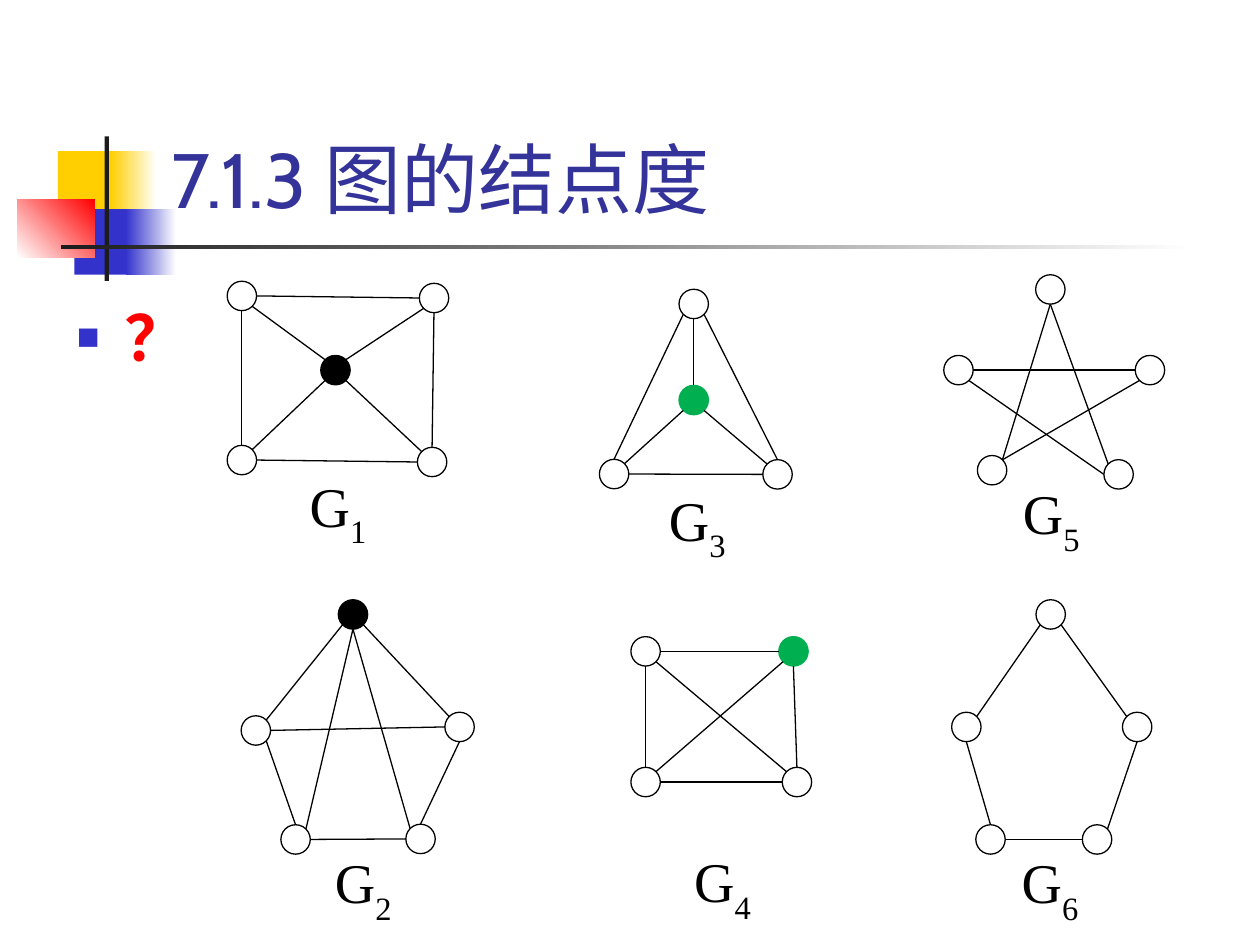
import math

from lxml import etree
from pptx import Presentation
from pptx import util as u
from pptx.dml.color import RGBColor
from pptx.enum import shapes, text
from pptx.oxml.ns import qn

COLORS = {"yellow": "FFCF01", "blue": "3333CC", "red": "FF0000", "dark": "1C1C1C",
          "white": "FFFFFF", "black": "000000", "green": "00B050", "title": "333399"}

# Decoration: left, top, width, height, start colour, end colour, angle
DECOR = [
    (33.1, 86.4, 34.6, 37.4, "yellow", None, 0),
    (63.4, 86.4, 25.9, 37.4, "yellow", "white", 0),
    (42.5, 119.5, 33.1, 37.4, "blue", None, 0),
    (72, 119.5, 28.8, 37.4, "blue", "white", 0),
    (10, 113.8, 44, 33.4, "white", "red", 45),
    (59.8, 78, 2.4, 82.6, "dark", None, 0),
    (34.7, 140, 648, 2.5, "dark", "white", 0),
]

# Graphs: label corner, node centres, filled nodes, edges as "node side node side"
GRAPHS = {
    "1": dict(label=(169.9, 265.7), filled={"M": "black"},
              nodes={"TL": (138.2, 169.1), "TR": (248, 170.3), "M": (191.7, 211.5),
                     "BL": (138.2, 262.9), "BR": (246.9, 264)},
              edges=["TL E TR W", "TL S BL N", "BL E BR W", "TR S BR N",
                     "TR SW M NE", "TL SE M NW", "M SE BR NW", "M SW BL NE"]),
    "2": dict(label=(184.3, 481), filled={"T": "black"},
              nodes={"T": (201.7, 351.1), "L": (146.2, 417.4), "R": (262.6, 415.4),
                     "BL": (168.9, 479.7), "BR": (240.3, 479.4)},
              edges=["T SW L NE", "T SE R NW", "L SE BL N", "R S BR N",
                     "BL E BR W", "L E R W", "T S BL NE", "T S BR NW"]),
    "3": dict(label=(375.1, 273.6), filled={"M": "green"},
              nodes={"T": (396.4, 173.7), "M": (396.4, 228.6),
                     "BL": (350.9, 270.9), "BR": (444.3, 271.1)},
              edges=["T SW BL N", "T SE BR N", "T S M N", "BL E BR W",
                     "M SE BR NW", "M SW BL NE"]),
    "4": dict(label=(389.5, 480.2), filled={"TR": "green"},
              nodes={"TL": (368.9, 372.2), "TR": (453.4, 372.2),
                     "BL": (368.9, 446.9), "BR": (455.4, 446.9)},
              edges=["TL E TR W", "TL S BL N", "BL E BR W", "TR S BR N",
                     "TL SE BR NW", "TR SW BL NE"]),
    "5": dict(label=(577.4, 270), filled={},
              nodes={"T": (600.2, 165.4), "L": (547.7, 211.5), "R": (657.1, 211.5),
                     "BL": (566.9, 268.7), "BR": (639.2, 271.1)},
              edges=["L E R W", "R SW BL NE", "BL NE T S", "T S BR NW", "L SE BR W"]),
    "6": dict(label=(576.7, 481), filled={},
              nodes={"T": (600.4, 351.1), "L": (552.2, 415.4), "R": (649.8, 415.4),
                     "BL": (566, 479.7), "BR": (626.9, 479.7)},
              edges=["T SW L NE", "T SE R NW", "R S BR NE", "L S BL N", "BL E BR W"]),
}
NODE_D = 16.8
LABEL_SIZE = (56.9, 49.7)
SIDES = ["E", "SE", "S", "SW", "W", "NW", "N", "NE"]


def rgb(name):
    return RGBColor.from_string(COLORS[name])


def add_run(p, words, color, **fmt):
    r = p.add_run()
    r.text = words
    r.font.color.rgb = rgb(color)
    for key, value in fmt.items():
        setattr(r.font, key, value)
    return r


def place(sp, *box):
    for key, value in zip(("left", "top", "width", "height"), box):
        setattr(sp, key, u.Pt(value))


def add_box(s, kind, box, fill, line=None):
    sp = s.shapes.add_shape(kind, *map(u.Pt, box))
    sp.shadow.inherit = False
    sp.fill.solid()
    sp.fill.fore_color.rgb = rgb(fill)
    if line:
        sp.line.color.rgb = rgb(line)
        sp.line.width = u.Pt(0.75)
    else:
        sp.line.fill.background()
    return sp


def add_decor(s, *item):
    *box, start, end, angle = item
    sp = add_box(s, shapes.MSO_SHAPE.RECTANGLE, box, start)
    if end:
        sp.fill.gradient()
        sp.fill.gradient_angle = angle
        for stop, name, pos in zip(sp.fill.gradient_stops, (start, end), (0, 1)):
            stop.color.rgb = rgb(name)
            stop.position = pos


def add_label(s, number, corner):
    sp = add_box(s, shapes.MSO_SHAPE.RECTANGLE, corner + LABEL_SIZE, "white", "white")
    tf = sp.text_frame
    tf.vertical_anchor = text.MSO_ANCHOR.TOP
    p = tf.paragraphs[0]
    p.alignment = text.PP_ALIGN.LEFT
    fmt = dict(size=u.Pt(32), name="Times New Roman")
    add_run(p, "G", "black", **fmt)
    sub = add_run(p, number, "black", **fmt)
    sub.font._element.set("baseline", "-30000")


def rim(center, side):
    a = math.radians(45 * SIDES.index(side))
    x, y = center
    return u.Pt(x + NODE_D / 2 * math.cos(a)), u.Pt(y + NODE_D / 2 * math.sin(a))


def add_graph(s, graph):
    nodes = graph["nodes"]
    for name, (x, y) in nodes.items():
        color = graph["filled"].get(name)
        box = (x - NODE_D / 2, y - NODE_D / 2, NODE_D, NODE_D)
        add_box(s, shapes.MSO_SHAPE.OVAL, box, color or "white", color or "black")
    for edge in graph["edges"]:
        a, a_side, b, b_side = edge.split()
        line = s.shapes.add_connector(shapes.MSO_CONNECTOR.STRAIGHT,
                                      *rim(nodes[a], a_side), *rim(nodes[b], b_side))
        line.line.color.rgb = rgb("black")
        line.line.width = u.Pt(0.75)
        etree.SubElement(line._element.spPr, qn("a:effectLst"))


def add_bullet(p):
    pPr = p._p.get_or_add_pPr()
    pPr.set("marL", str(u.Pt(27)))
    pPr.set("indent", str(-u.Pt(27)))
    color = etree.SubElement(pPr, qn("a:buClr"))
    etree.SubElement(color, qn("a:srgbClr"), val=COLORS["blue"])
    etree.SubElement(pPr, qn("a:buSzPct"), val="60000")
    etree.SubElement(pPr, qn("a:buChar"), char="■")


def main():
    prs = Presentation()
    prs.slide_width, prs.slide_height = u.Pt(720), u.Pt(540)
    s = prs.slides.add_slide(prs.slide_layouts[1])
    title, body = s.placeholders

    # Title
    place(title, 90.7, 16.6, 613.4, 115.2)
    tf = title.text_frame
    tf.auto_size = text.MSO_AUTO_SIZE.NONE
    tf.vertical_anchor = text.MSO_ANCHOR.BOTTOM
    p = tf.paragraphs[0]
    p.alignment = text.PP_ALIGN.LEFT
    add_run(p, "7.1.3 图的结点度", "title", size=u.Pt(44), name="Cabin")

    # Question bullet
    place(body, 36.7, 145.4, 683.3, 394.6)
    tf = body.text_frame
    tf.auto_size = text.MSO_AUTO_SIZE.NONE
    p = tf.paragraphs[0]
    add_bullet(p)
    p.line_spacing, p.space_before = 1.5, u.Pt(0)
    add_run(p, "？", "red", size=u.Pt(36), name="Cabin", bold=True)

    # Corner decoration, labels, graphs
    for item in DECOR:
        add_decor(s, *item)
    for number, graph in GRAPHS.items():
        add_label(s, number, graph["label"])
    for graph in GRAPHS.values():
        add_graph(s, graph)

    prs.save("out.pptx")


if __name__ == "__main__":
    main()
